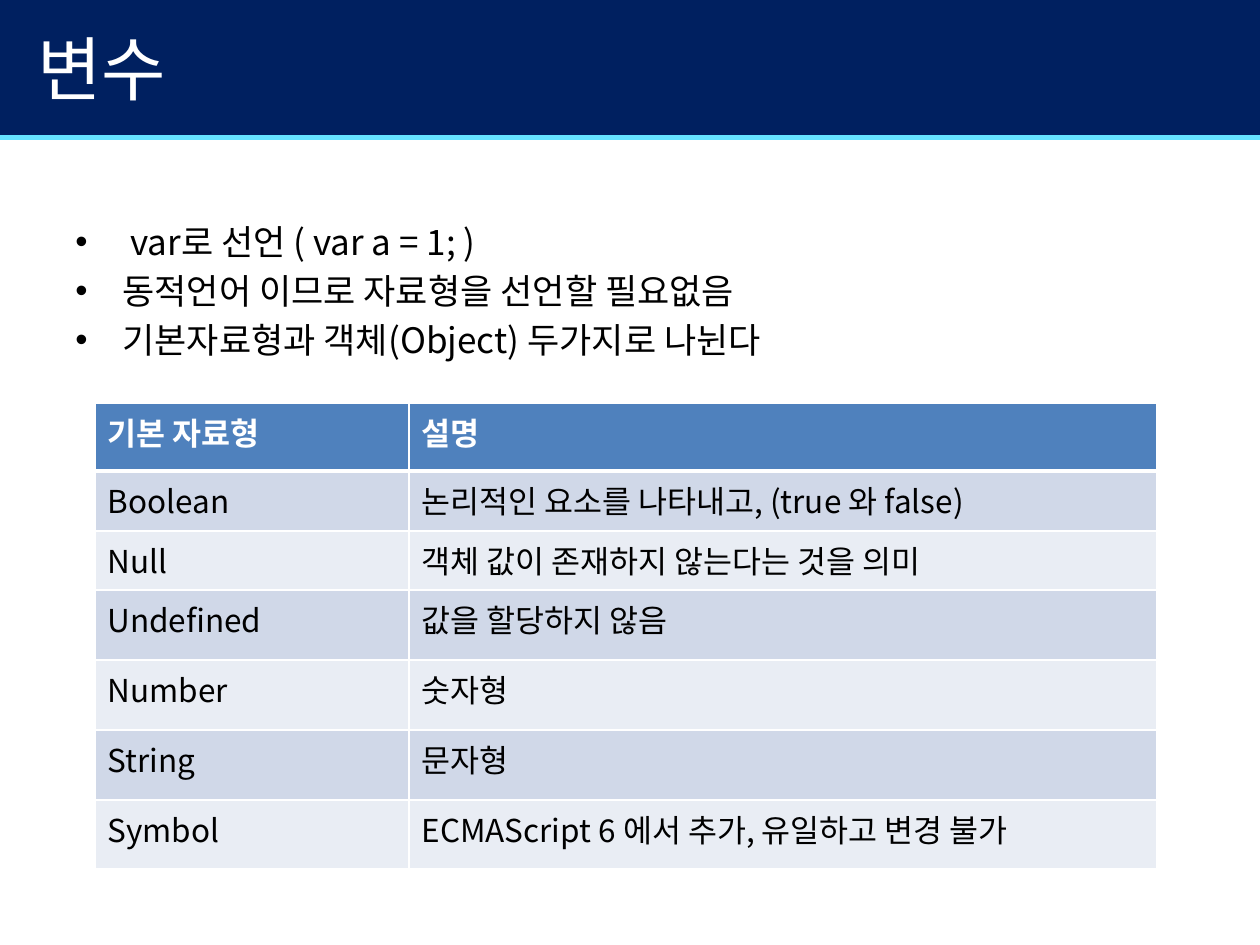
from lxml import etree
from pptx import Presentation
from pptx.dml.color import RGBColor
from pptx.enum import shapes, text
from pptx.oxml.ns import qn
from pptx.util import Pt

# Content
TITLE = "변수"
BULLETS = [
    " var로 선언 ( var a = 1; )",
    "동적언어 이므로 자료형을 선언할 필요없음",
    "기본자료형과 객체(Object) 두가지로 나뉜다",
]
TYPES = [
    ("기본 자료형", "설명"),
    ("Boolean", "논리적인 요소를 나타내고, (true 와 false)"),
    ("Null", "객체 값이 존재하지 않는다는 것을 의미"),
    ("Undefined", "값을 할당하지 않음"),
    ("Number", "숫자형"),
    ("String", "문자형"),
    ("Symbol", "ECMAScript 6 에서 추가, 유일하고 변경 불가"),
]

# Look
FONT = "Noto Sans CJK KR"
NAVY = RGBColor(0x00, 0x20, 0x60)
CYAN = RGBColor(0x65, 0xE2, 0xFF)
WHITE = RGBColor(0xFF, 0xFF, 0xFF)
BLACK = RGBColor(0x00, 0x00, 0x00)
HEADER = RGBColor(0x4F, 0x81, 0xBD)
BANDS = [RGBColor(0xE9, 0xED, 0xF4), RGBColor(0xD0, 0xD8, 0xE8)]

# Layout in px, 126 to the inch
WIDTH, HEIGHT = 1260, 945
BARS = [((-1, 134, 1261, 6), CYAN), ((-1, 0, 1261, 135), NAVY)]
TITLE_AT = (25, -11, 1134, 157)
BODY_AT = (63, 214, 1134, 170)
TABLE_AT = (95, 403, 1062, 466)
COLUMNS = [314, 748]
ROWS = [68, 60, 59, 70, 70, 70, 69]
INDENT = 47


def px(length):
    return round(length * 914400 / 126)


def place(shape, at):
    shape.left, shape.top, shape.width, shape.height = map(px, at)


def style(paragraph, size, color, bold=False):
    for span in paragraph.runs:
        font = span.font
        font.name, font.size, font.bold = FONT, Pt(size), bold
        font.color.rgb = color
        east_asian = etree.SubElement(span._r.get_or_add_rPr(), qn("a:ea"))
        east_asian.set("typeface", FONT)


def add_bullet(paragraph):
    props = paragraph._p.get_or_add_pPr()
    props.set("marL", str(px(INDENT)))
    props.set("indent", str(-px(INDENT)))
    etree.SubElement(props, qn("a:buFont")).set("typeface", "Arial")
    etree.SubElement(props, qn("a:buChar")).set("char", "•")


def set_borders(cell, top, bottom):
    props = cell._tc.get_or_add_tcPr()
    widths = {"lnL": 1, "lnR": 1, "lnT": top, "lnB": bottom}
    for position, (side, width) in enumerate(widths.items()):
        line = etree.Element(qn(f"a:{side}"), w=str(Pt(width)))
        fill = etree.SubElement(line, qn("a:solidFill"))
        etree.SubElement(fill, qn("a:srgbClr")).set("val", str(WHITE))
        props.insert(position, line)


deck = Presentation()
deck.slide_width, deck.slide_height = px(WIDTH), px(HEIGHT)
page = deck.slides.add_slide(deck.slide_layouts[5])

# Header bars
for at, color in BARS:
    bar = page.shapes.add_shape(shapes.MSO_SHAPE.RECTANGLE, *map(px, at))
    bar.shadow.inherit = False
    bar.fill.solid()
    bar.fill.fore_color.rgb = color
    bar.line.fill.background()

# Title, brought in front of the bars
title = page.shapes.title
title.element.getparent().append(title.element)
place(title, TITLE_AT)
title.text_frame.text = TITLE
title.text_frame.vertical_anchor = text.MSO_ANCHOR.MIDDLE
heading = title.text_frame.paragraphs[0]
heading.alignment = text.PP_ALIGN.LEFT
style(heading, 40, WHITE)

# Bullets
body = page.shapes.add_textbox(*map(px, BODY_AT)).text_frame
body.word_wrap = True
body.text = "\n".join(BULLETS)
for para in body.paragraphs:
    para.space_before = Pt(4)
    add_bullet(para)
    style(para, 20, BLACK)

# Table of data types
table = page.shapes.add_table(len(ROWS), len(COLUMNS), *map(px, TABLE_AT)).table
for column, width in zip(table.columns, COLUMNS):
    column.width = px(width)
for r, (row, height) in enumerate(zip(table.rows, ROWS)):
    row.height = px(height)
    is_header = r == 0
    for cell, words in zip(row.cells, TYPES[r]):
        cell.text = words
        cell.fill.solid()
        cell.fill.fore_color.rgb = HEADER if is_header else BANDS[r % 2]
        set_borders(cell, top=3 if r == 1 else 1, bottom=3 if is_header else 1)
        style(cell.text_frame.paragraphs[0], 18,
              WHITE if is_header else BLACK, bold=is_header)

deck.save("out.pptx")
